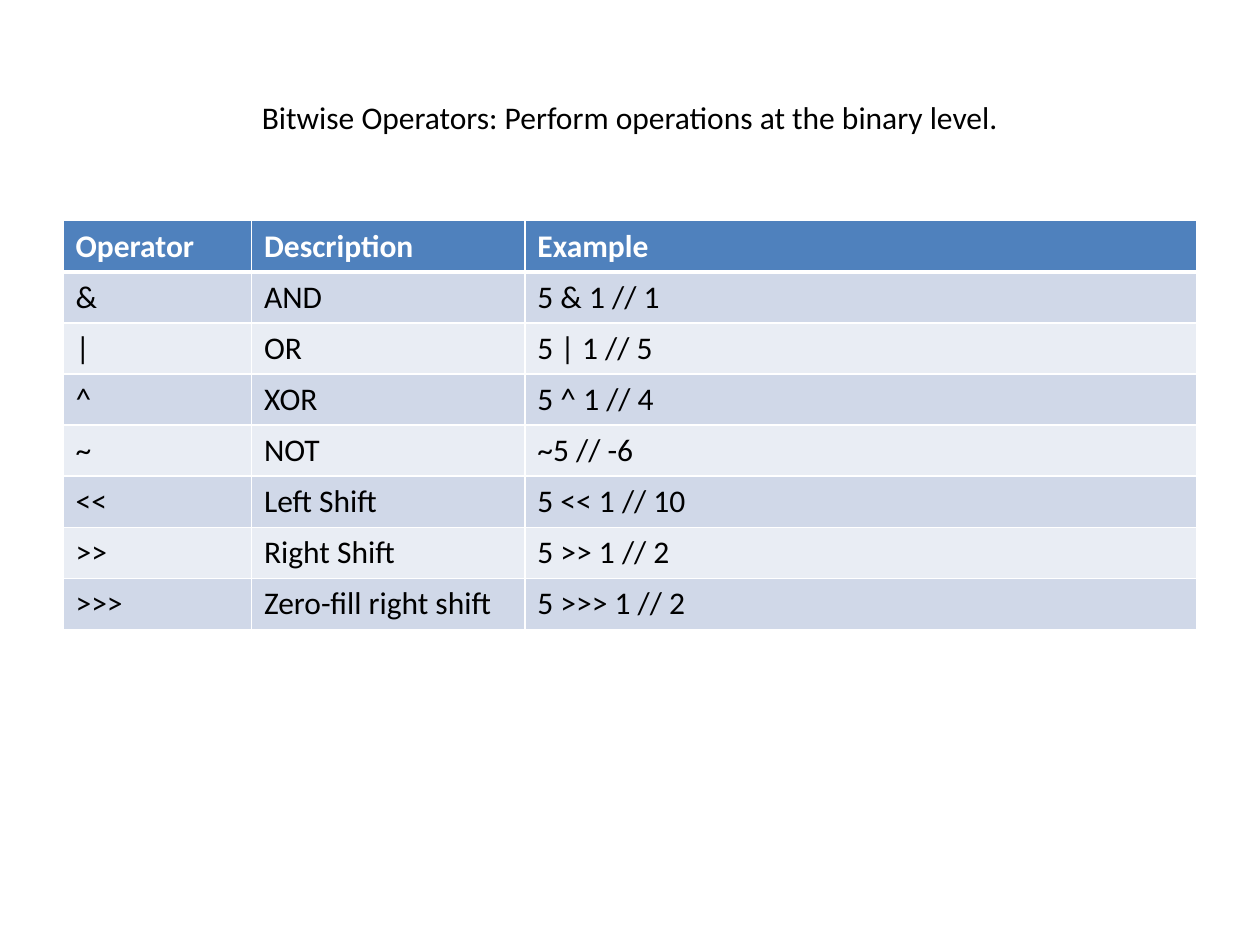
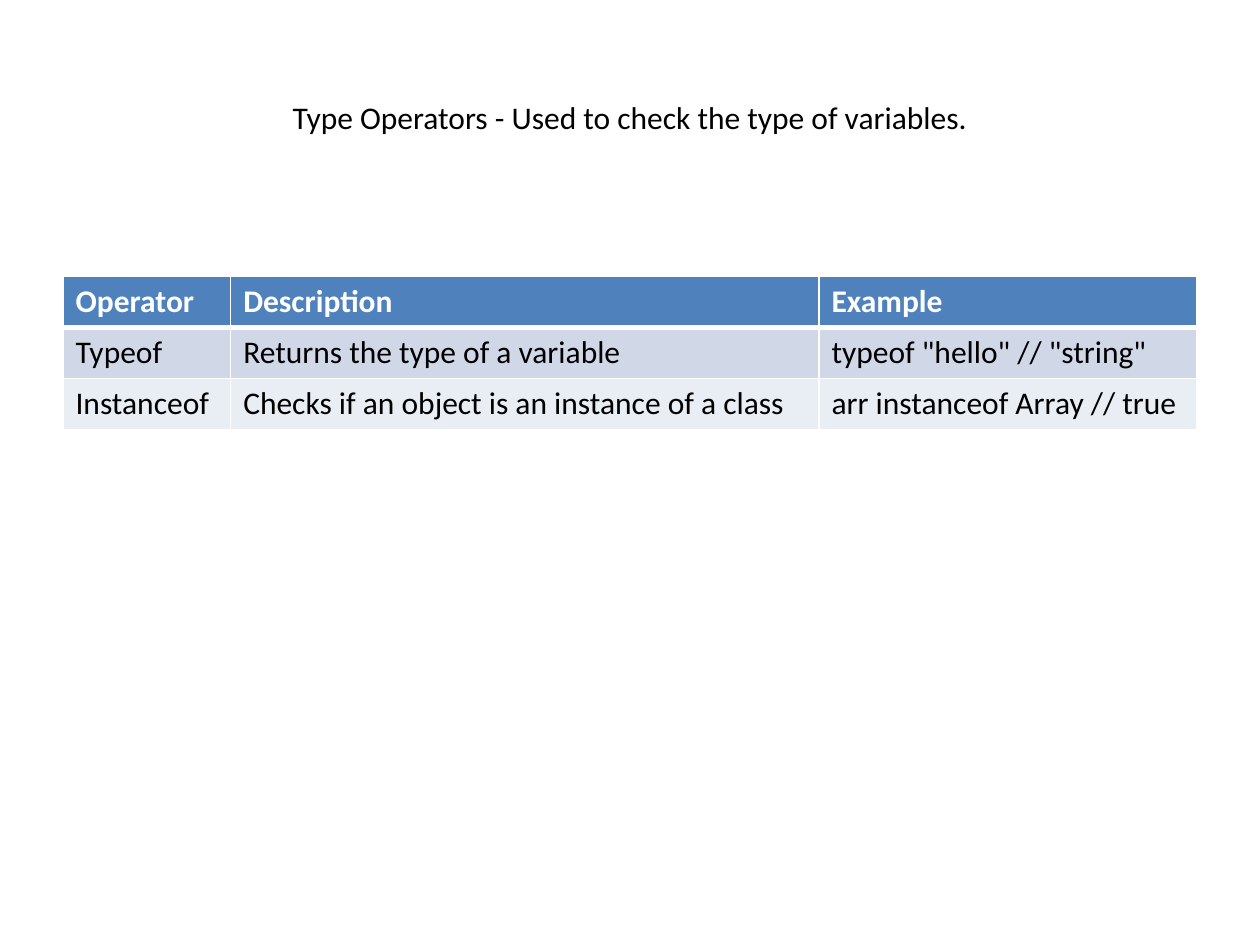
from dataclasses import dataclass

from lxml.etree import SubElement
from pptx import Presentation
from pptx.dml.color import RGBColor
from pptx.enum.text import MSO_ANCHOR, PP_ALIGN
from pptx.oxml.ns import qn
from pptx.slide import Slide
from pptx.table import _Cell
from pptx.text.text import _Paragraph
from pptx.util import Cm, Pt

FONT = "Calibri"
TEXT_SIZE = Pt(18)
BLACK = "000000"
WHITE = "FFFFFF"
HEADER_FILL = "4F81BD"
BAND_FILLS = ("D0D8E8", "E9EDF4")

MARGIN = Cm(1.27)
CONTENT_WIDTH = Cm(22.86)
TITLE_TOP = Cm(0.76)
TITLE_HEIGHT = Cm(3.18)
ROW_HEIGHT = Cm(1.03)
THIN_BORDER = Pt(1)
HEADER_BORDER = Pt(3)

HEADINGS = ("Operator", "Description", "Example")


@dataclass(frozen=True)
class OperatorSlide:
    title: str
    table_top: Cm
    column_widths: tuple[Cm, ...]
    operators: tuple[tuple[str, str, str], ...]


OPERATOR_SLIDES = (
    OperatorSlide(
        title="Bitwise Operators: Perform operations at the binary level.",
        table_top=Cm(4.45),
        column_widths=(Cm(3.8), Cm(5.51), Cm(13.55)),
        operators=(
            ("&", "AND", "5 & 1 // 1"),
            ("|", "OR", "5 | 1 // 5"),
            ("^", "XOR", "5 ^ 1 // 4"),
            ("~", "NOT", "~5 // -6"),
            ("<<", "Left Shift", "5 << 1 // 10"),
            (">>", "Right Shift", "5 >> 1 // 2"),
            (">>>", "Zero-fill right shift", "5 >>> 1 // 2"),
        ),
    ),
    OperatorSlide(
        title="Type Operators - Used to check the type of variables.",
        table_top=Cm(5.57),
        column_widths=(Cm(3.38), Cm(11.86), Cm(7.62)),
        operators=(
            ("Typeof", "Returns the type of a variable", 'typeof "hello" // "string"'),
            ("Instanceof", "Checks if an object is an instance of a class",
             "arr instanceof Array // true"),
        ),
    ),
)


def color(hex_value: str) -> RGBColor:
    return RGBColor.from_string(hex_value)


def add_run(paragraph: _Paragraph, text: str, text_color: str = BLACK,
            bold: bool = False) -> None:
    run = paragraph.add_run()
    run.text = text
    run.font.name = FONT
    run.font.size = TEXT_SIZE
    run.font.bold = bold
    run.font.color.rgb = color(text_color)


def add_title(slide: Slide, text: str) -> None:
    text_box = slide.shapes.add_textbox(MARGIN, TITLE_TOP, CONTENT_WIDTH, TITLE_HEIGHT)
    frame = text_box.text_frame
    frame.word_wrap = True
    frame.vertical_anchor = MSO_ANCHOR.MIDDLE
    paragraph = frame.paragraphs[0]
    paragraph.alignment = PP_ALIGN.CENTER
    add_run(paragraph, text)


def set_borders(cell: _Cell, top: int, bottom: int) -> None:
    """Add white borders; call before filling, as the schema puts lines first."""
    properties = cell._tc.get_or_add_tcPr()
    widths = {"L": THIN_BORDER, "R": THIN_BORDER, "T": top, "B": bottom}
    for side, width in widths.items():
        line = SubElement(properties, qn(f"a:ln{side}"), w=str(width))
        fill = SubElement(line, qn("a:solidFill"))
        SubElement(fill, qn("a:srgbClr"), val=WHITE)


def style_cell(cell: _Cell, row_index: int) -> None:
    is_header = row_index == 0
    set_borders(
        cell,
        top=HEADER_BORDER if row_index == 1 else THIN_BORDER,
        bottom=HEADER_BORDER if is_header else THIN_BORDER,
    )
    fill = HEADER_FILL if is_header else BAND_FILLS[(row_index - 1) % 2]
    cell.fill.solid()
    cell.fill.fore_color.rgb = color(fill)


def add_operator_table(slide: Slide, content: OperatorSlide) -> None:
    rows = (HEADINGS, *content.operators)
    table = slide.shapes.add_table(
        len(rows), len(HEADINGS), MARGIN, content.table_top,
        CONTENT_WIDTH, ROW_HEIGHT * len(rows),
    ).table
    for column, width in zip(table.columns, content.column_widths):
        column.width = width
    for row_index, texts in enumerate(rows):
        table.rows[row_index].height = ROW_HEIGHT
        is_header = row_index == 0
        for column_index, text in enumerate(texts):
            cell = table.cell(row_index, column_index)
            style_cell(cell, row_index)
            add_run(cell.text_frame.paragraphs[0], text,
                    WHITE if is_header else BLACK, bold=is_header)


def main() -> None:
    presentation = Presentation()
    presentation.slide_width = Cm(25.4)
    presentation.slide_height = Cm(19.05)
    blank_layout = presentation.slide_layouts[6]
    for content in OPERATOR_SLIDES:
        slide = presentation.slides.add_slide(blank_layout)
        add_title(slide, content.title)
        add_operator_table(slide, content)
    presentation.save("out.pptx")


if __name__ == "__main__":
    main()
